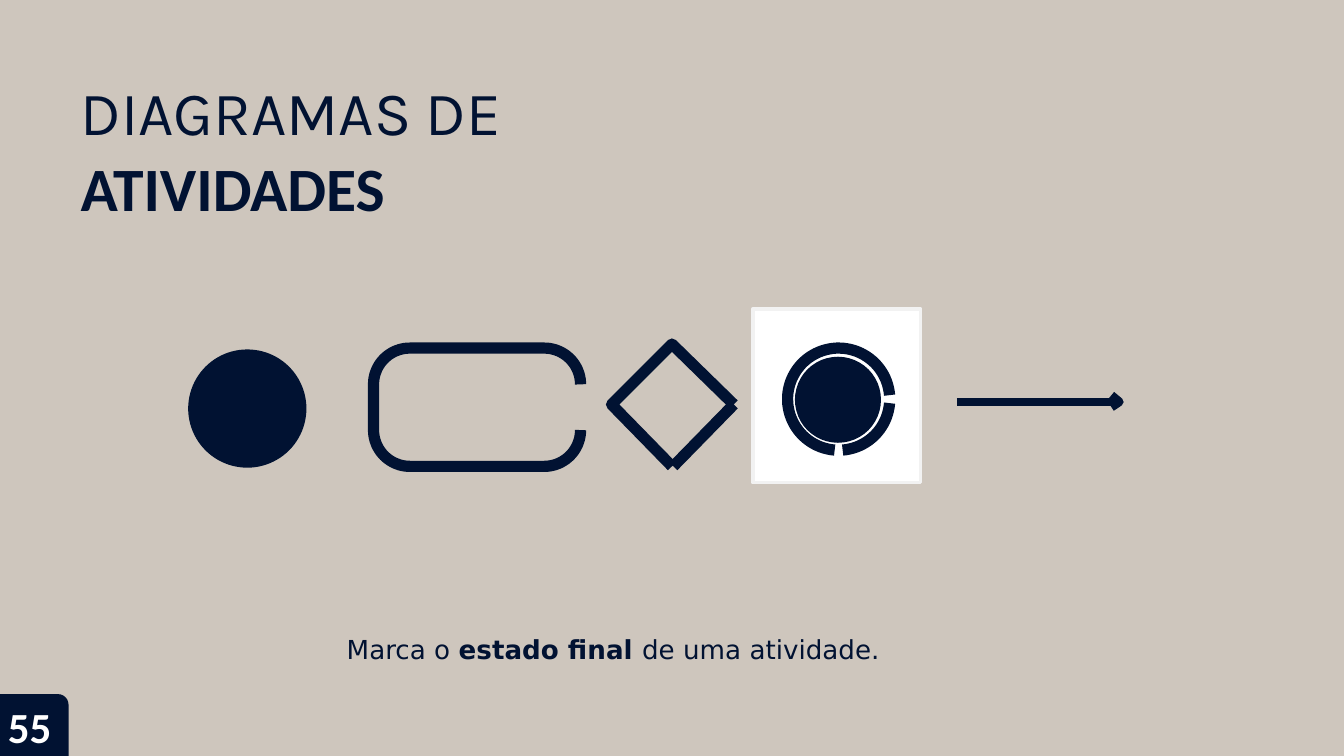
import math

import pptx
import pptx.dml.color
import pptx.enum.shapes
import pptx.enum.text
import pptx.oxml.ns
import pptx.util
from lxml import etree
from pptx.util import Inches

COLORS = {"sand": "CEC6BD", "navy": "011232", "white": "FFFFFF", "frame": "F2F2F2"}
SHAPES = pptx.enum.shapes.MSO_SHAPE


def rgb(name):
    return pptx.dml.color.RGBColor.from_string(COLORS[name])


def style_line(line, color, width):
    line.color.rgb = rgb(color)
    line.width = pptx.util.Pt(width)


def add_solid(slide, kind, left, top, width, height, fill, line=None, line_width=1):
    shape = slide.shapes.add_shape(
        kind, Inches(left), Inches(top), Inches(width), Inches(height)
    )
    shape.shadow.inherit = False
    shape.fill.solid()
    shape.fill.fore_color.rgb = rgb(fill)
    if line:
        style_line(shape.line, line, line_width)
    else:
        shape.line.fill.background()
    return shape


def add_outline(slide, contours, width):
    contours = [[(Inches(x), Inches(y)) for x, y in contour] for contour in contours]
    builder = slide.shapes.build_freeform(*contours[0][0], scale=1.0)
    for index, contour in enumerate(contours):
        if index:
            builder.move_to(*contour[0])
        builder.add_line_segments(contour[1:], close=False)
    shape = builder.convert_to_shape()
    shape.shadow.inherit = False
    shape.fill.background()
    style_line(shape.line, "navy", width)


def arc(center_x, center_y, radius, start, end):
    steps = max(1, round(abs(end - start) / 4))
    angles = [math.radians(start + (end - start) * i / steps) for i in range(steps + 1)]
    return [
        (center_x + radius * math.cos(a), center_y + radius * math.sin(a))
        for a in angles
    ]


def prepare_frame(frame, top_margin):
    frame.word_wrap = True
    frame.auto_size = pptx.enum.text.MSO_AUTO_SIZE.NONE
    frame.vertical_anchor = pptx.enum.text.MSO_ANCHOR.TOP
    frame.margin_left = Inches(0.01)
    frame.margin_right = frame.margin_bottom = 0
    frame.margin_top = Inches(top_margin)


def style_paragraph(paragraph, font_name, size, color, bold=None):
    paragraph.alignment = pptx.enum.text.PP_ALIGN.LEFT
    paragraph.space_before = 0
    font = paragraph.font
    font.name = font_name
    font.size = pptx.util.Pt(size)
    font.color.rgb = rgb(color)
    font.bold = bold


def add_text(slide, left, top, width, height, top_margin):
    box = slide.shapes.add_textbox(
        Inches(left), Inches(top), Inches(width), Inches(height)
    )
    prepare_frame(box.text_frame, top_margin)
    return box.text_frame.paragraphs[0]


def add_title(slide):
    title = slide.shapes.title
    title.left, title.top = Inches(0.59), Inches(0.54)
    title.width, title.height = Inches(3.73), Inches(1.14)
    frame = title.text_frame
    prepare_frame(frame, 0.01)
    first = frame.paragraphs[0]
    first.text = "DIAGRAMAS DE"
    style_paragraph(first, "Karla", 33, "navy")
    second = frame.add_paragraph()
    second.text = "ATIVIDADES"
    style_paragraph(second, "Calibri", 33, "navy", True)
    second.space_before = pptx.util.Pt(1)


def add_activity(slide):
    left, right, top, bottom, radius = 3.05, 4.05, 2.86, 3.2, 0.27
    corners = [(right, bottom), (left, bottom), (left, top), (right, top)]
    points = []
    for index, (x, y) in enumerate(corners):
        points += arc(x, y, radius, index * 90, index * 90 + 90)
    add_outline(slide, [points], 6)


def add_decision(slide):
    add_outline(
        slide,
        [
            [(5.46, 3.01), (5.01, 3.47)],
            [(5, 3.47), (4.55, 3.01), (5, 2.56), (5.46, 3.01)],
        ],
        6,
    )


def add_flow_arrow(slide):
    connector = slide.shapes.add_connector(
        pptx.enum.shapes.MSO_CONNECTOR.STRAIGHT,
        Inches(7.12), Inches(2.99), Inches(8.33), Inches(2.99),
    )
    style_line(connector.line, "navy", 4.5)
    properties = connector.element.spPr
    etree.SubElement(properties, pptx.oxml.ns.qn("a:effectLst"))
    add_outline(slide, [[(8.27, 2.94), (8.33, 2.99), (8.27, 3.03)]], 4.5)


def add_final_state(slide):
    add_solid(slide, SHAPES.RECTANGLE, 5.6, 2.3, 1.25, 1.29, "white", "frame", 2)
    center_x, center_y, radius, gap = 6.24, 2.97, 0.38, 4.5
    add_outline(
        slide,
        [
            arc(center_x, center_y, radius, 90 - gap, gap),
            arc(center_x, center_y, radius, -gap, gap - 270),
        ],
        6,
    )
    add_solid(slide, SHAPES.OVAL, 5.92, 2.66, 0.63, 0.63, "navy", "navy", 0.75)


def add_caption(slide):
    paragraph = add_text(slide, 2.57, 4.7, 4.37, 0.24, 0.01)
    style_paragraph(paragraph, "DejaVu Sans", 14, "navy")
    for text, bold in [
        ("Marca o ", False),
        ("estado final ", True),
        ("de uma atividade.", False),
    ]:
        run = paragraph.add_run()
        run.text = text
        run.font.bold = bold


def add_page_number(slide):
    paragraph = add_text(slide, 0.05, 5.18, 0.6, 0.42, 0.03)
    paragraph.text = "55"
    style_paragraph(paragraph, "Calibri", 23, "white", True)


def main():
    presentation = pptx.Presentation()
    presentation.slide_width = Inches(10)
    presentation.slide_height = presentation.slide_width * 9 // 16
    slide = presentation.slides.add_slide(presentation.slide_layouts[5])
    slide.background.fill.solid()
    slide.background.fill.fore_color.rgb = rgb("sand")
    badge = add_solid(slide, SHAPES.ROUND_1_RECTANGLE, 0, 5.16, 0.51, 0.46, "navy")
    badge.top = presentation.slide_height - badge.height
    badge.adjustments[0] = 0.17
    add_title(slide)
    add_solid(slide, SHAPES.OVAL, 1.4, 2.6, 0.88, 0.88, "navy")
    add_activity(slide)
    add_decision(slide)
    add_flow_arrow(slide)
    add_caption(slide)
    add_page_number(slide)
    add_final_state(slide)
    presentation.save("out.pptx")


if __name__ == "__main__":
    main()
